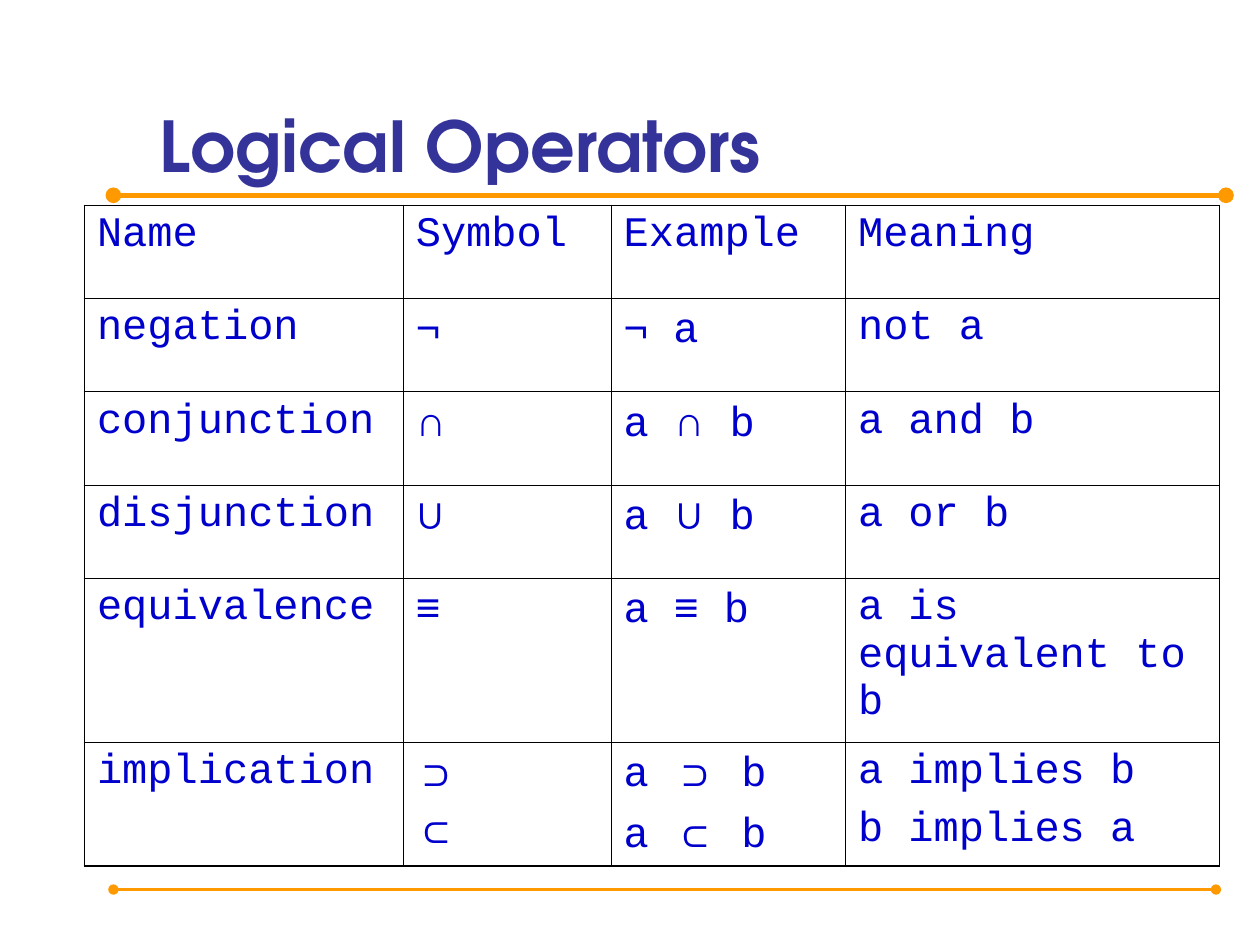
from itertools import groupby

from lxml.etree import SubElement
from pptx import Presentation
from pptx.dml.color import RGBColor
from pptx.enum.shapes import MSO_CONNECTOR as Connector
from pptx.enum.text import MSO_ANCHOR as Anchor
from pptx.oxml.ns import qn
from pptx.util import Inches, Pt

WIDTH, HEIGHT = Inches(10), Inches(7.5)
COLUMNS, ROWS = 100, 75
SYMBOLS = "¬∩∪≡⊃⊂"
COLUMN_WIDTHS = [25.3, 16.5, 18.6, 29.7]
ROW_HEIGHTS = [7.4, 7.4, 7.4, 7.4, 9, 9.8]
OPERATORS = [
    ["Name", "Symbol", "Example", "Meaning"],
    ["negation", "¬", "¬ a", "not a"],
    ["conjunction", "∩", "a ∩ b", "a and b"],
    ["disjunction", "∪", "a ∪ b", "a or b"],
    ["equivalence", "≡", "a ≡ b", "a is equivalent to b"],
    ["implication", "⊃\n⊂", "a ⊃ b\na ⊂ b", "a implies b\nb implies a"],
]


def col(n):
    """Return the length of n grid columns."""
    return round(WIDTH * n / COLUMNS)


def row(n):
    """Return the length of n grid rows."""
    return round(HEIGHT * n / ROWS)


def rgb(value):
    """Return the colour for a hex string."""
    return RGBColor.from_string(value)


def style_font(font, name, size, color, bold=False):
    """Set the face, size, colour and weight of a font."""
    font.name, font.size, font.bold = name, Pt(size), bold
    font.color.rgb = rgb(color)


def add_rule(s, left, top, width, weight):
    """Draw a horizontal rule with a dot at each end."""
    rule = s.shapes.add_connector(
        Connector.STRAIGHT, col(left), row(top), col(left + width), row(top))
    rule.line.color.rgb = rgb("FF9900")
    rule.line.width = Pt(weight)
    ln = rule.line._get_or_add_ln()
    for end in ("a:headEnd", "a:tailEnd"):
        SubElement(ln, qn(end), type="oval")
    SubElement(rule._element.spPr, qn("a:effectLst"))


def add_title(s, left, top, width, height, text):
    """Place the title at the bottom of its box."""
    sp = s.shapes.add_textbox(col(left), row(top), col(width), row(height))
    tf = sp.text_frame
    tf.word_wrap = True
    tf.vertical_anchor = Anchor.BOTTOM
    tf.text = text
    style_font(tf.paragraphs[0].runs[0].font, "TeX Gyre Adventor", 40, "333399", True)


def add_border(cell, side, weight):
    """Draw one side of a cell in black."""
    ln = SubElement(cell._tc.get_or_add_tcPr(), qn(f"a:ln{side}"), w=str(Pt(weight)))
    SubElement(SubElement(ln, qn("a:solidFill")), qn("a:srgbClr"), val="000000")


def fill_cell(cell, text):
    """Write the lines of a cell, with symbols in their own font."""
    tf = cell.text_frame
    for i, line in enumerate(text.split("\n")):
        p = tf.add_paragraph() if i else tf.paragraphs[0]
        p.space_before = Pt(6 if i else 0)
        for is_symbol, chars in groupby(line, key=lambda c: c in SYMBOLS):
            r = p.add_run()
            r.text = "".join(chars)
            style_font(r.font, "Arial" if is_symbol else "Courier New", 24, "0000CC")


def add_operator_table(s, left, top, widths, heights, rows):
    """Build the table with a heavy frame and thin inner lines."""
    table = s.shapes.add_table(len(heights), len(widths), col(left), row(top),
                               col(sum(widths)), row(sum(heights))).table
    table.first_row = table.horz_banding = False
    for column, width in zip(table.columns, widths):
        column.width = col(width)
    for table_row, height in zip(table.rows, heights):
        table_row.height = row(height)
    last_row, last_col = len(heights) - 1, len(widths) - 1
    for i, texts in enumerate(rows):
        for j, text in enumerate(texts):
            cell = table.cell(i, j)
            outer = {"L": j == 0, "R": j == last_col, "T": i == 0, "B": i == last_row}
            for side, is_outer in outer.items():
                add_border(cell, side, 1.08 if is_outer else 0.45)
            cell.fill.background()
            fill_cell(cell, text)


def main():
    """Build and save the slide."""
    prs = Presentation()
    prs.slide_width, prs.slide_height = WIDTH, HEIGHT
    s = prs.slides.add_slide(prs.slide_layouts[6])
    add_rule(s, 9, 15.5, 88.3, 3)
    add_rule(s, 9, 70.6, 87.5, 1.5)
    add_title(s, 11.7, 2.8, 86.1, 12.5, "Logical Operators")
    add_operator_table(s, 6.7, 16.3, COLUMN_WIDTHS, ROW_HEIGHTS, OPERATORS)
    prs.save("out.pptx")


if __name__ == "__main__":
    main()
